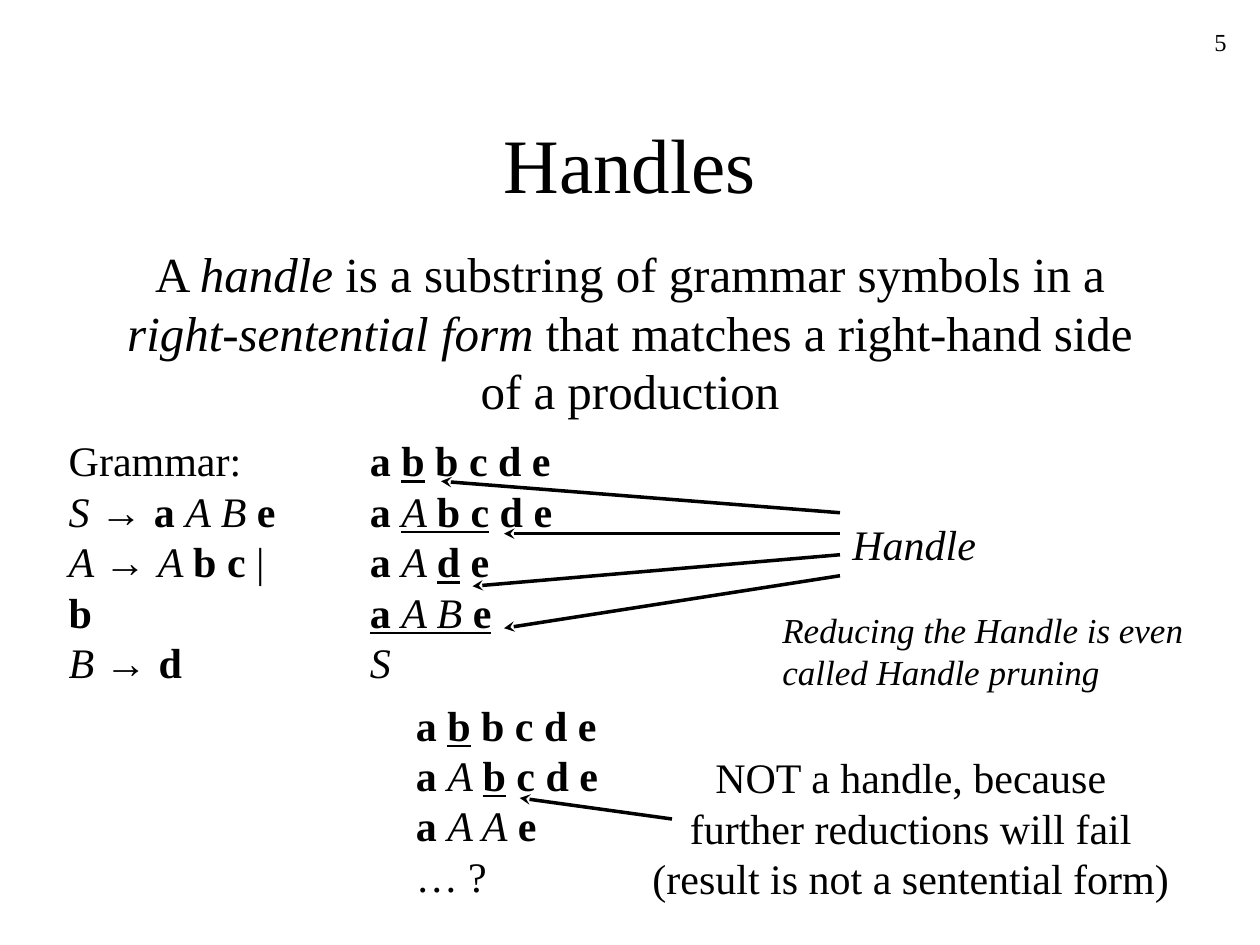
from lxml import etree
from pptx import Presentation
from pptx.dml.color import RGBColor
from pptx.enum.shapes import MSO_CONNECTOR
from pptx.enum.text import MSO_ANCHOR, PP_ALIGN
from pptx.oxml.ns import qn
from pptx.util import Pt

BLACK = RGBColor(0, 0, 0)
SERIF = "Times New Roman"
SANS = "Arial"
LEFT, CENTER, RIGHT = PP_ALIGN.LEFT, PP_ALIGN.CENTER, PP_ALIGN.RIGHT
MIDDLE = MSO_ANCHOR.MIDDLE
STRAIGHT = MSO_CONNECTOR.STRAIGHT
TITLE_ONLY = 5

ARROW = ("→ ", "s")
DEFINITION = [("A ", ""), ("handle", "i"),
              (" is a substring of grammar symbols in a\n", ""),
              ("right-sentential form", "i"),
              (" that matches a right-hand side\nof a production", "")]
GRAMMAR = [("Grammar:\n", ""),
           ("S ", "i"), ARROW, ("a ", "b"), ("A B ", "i"), ("e\n", "b"),
           ("A ", "i"), ARROW, ("A ", "i"), ("b c ", "b"), ("| ", ""), ("b\n", "b"),
           ("B ", "i"), ARROW, ("d", "b")]
REDUCTION = [("a ", "b"), ("b", "bu"), (" b c d e\na ", "b"),
             ("A ", "iu"), ("b c", "bu"), (" d e\na ", "b"),
             ("A ", "i"), ("d", "bu"), (" e\n", "b"),
             ("a ", "bu"), ("A B", "iu"), (" ", "biu"), ("e\n", "bu"), ("S", "i")]
FAILED_REDUCTION = [("a ", "b"), ("b", "bu"), (" b c d e\na ", "b"),
                    ("A ", "i"), ("b", "bu"), (" c d e\na ", "b"),
                    ("A A", "i"), (" e\n", "b"), ("… ?", "")]
ARROWS = [((480, 293), (252, 275)), ((480, 305), (288, 305)),
          ((480, 317), (270, 335)), ((480, 329), (288, 359)),
          ((384, 468), (297, 456))]


def write_text(frame, *paragraphs, size=24, align=LEFT):
    """Write paragraphs of (text, style) runs; style letters are b, i, u and s for sans."""
    for index, runs in enumerate(paragraphs):
        paragraph = frame.add_paragraph() if index else frame.paragraphs[0]
        paragraph.alignment = align
        for text, style in runs:
            for number, line in enumerate(text.split("\n")):
                if number:
                    paragraph.add_line_break()
                if not line:
                    continue
                run = paragraph.add_run()
                run.text = line
                font = run.font
                font.name = SANS if "s" in style else SERIF
                font.size = Pt(size)
                font.color.rgb = BLACK
                font.bold = "b" in style
                font.italic = "i" in style
                font.underline = "u" in style


def add_text(slide, box, *paragraphs, wrap=False, **text_format):
    frame = slide.shapes.add_textbox(*map(Pt, box)).text_frame
    frame.word_wrap = wrap
    write_text(frame, *paragraphs, **text_format)


def set_title(slide, text, box):
    title = slide.shapes.title
    title.left, title.top, title.width, title.height = map(Pt, box)
    title.text_frame.vertical_anchor = MIDDLE
    write_text(title.text_frame, [(text, "")], size=44, align=CENTER)


def add_arrow(slide, start, end):
    connector = slide.shapes.add_connector(STRAIGHT, *map(Pt, start + end))
    connector.line.color.rgb = BLACK
    connector.line.width = Pt(2)
    line = connector.line._get_or_add_ln()
    etree.SubElement(line, qn("a:tailEnd"), type="stealth")
    etree.SubElement(connector._element.spPr, qn("a:effectLst"))


def main():
    presentation = Presentation()
    presentation.slide_width, presentation.slide_height = Pt(720), Pt(540)
    slide = presentation.slides.add_slide(presentation.slide_layouts[TITLE_ONLY])

    add_text(slide, (558, 12, 150, 36), [("5", "")], wrap=True, size=14, align=RIGHT)
    set_title(slide, "Handles", (54, 48, 612, 90))
    add_text(slide, (65.5, 135.5, 589, 108), DEFINITION, size=28, align=CENTER)

    add_text(slide, (32.2, 245, 141, 122.4), GRAMMAR, wrap=True)
    add_text(slide, (204.3, 245, 119, 151.2), REDUCTION)
    add_text(slide, (230.5, 396, 119, 122.4), FAILED_REDUCTION)

    for start, end in ARROWS:
        add_arrow(slide, start, end)

    add_text(slide, (480, 293, 85, 36), [("Handle", "i")])
    add_text(slide, (440, 344, 268, 55.5),
             [("Reducing the Handle is even", "i")],
             [("called Handle pruning", "i")], wrap=True, size=20)
    add_text(slide, (365.5, 426, 310, 93.6),
             [("NOT a handle, because\nfurther reductions will fail", "")],
             [("(result is not a sentential form)", "")], align=CENTER)

    presentation.save("out.pptx")


if __name__ == "__main__":
    main()
